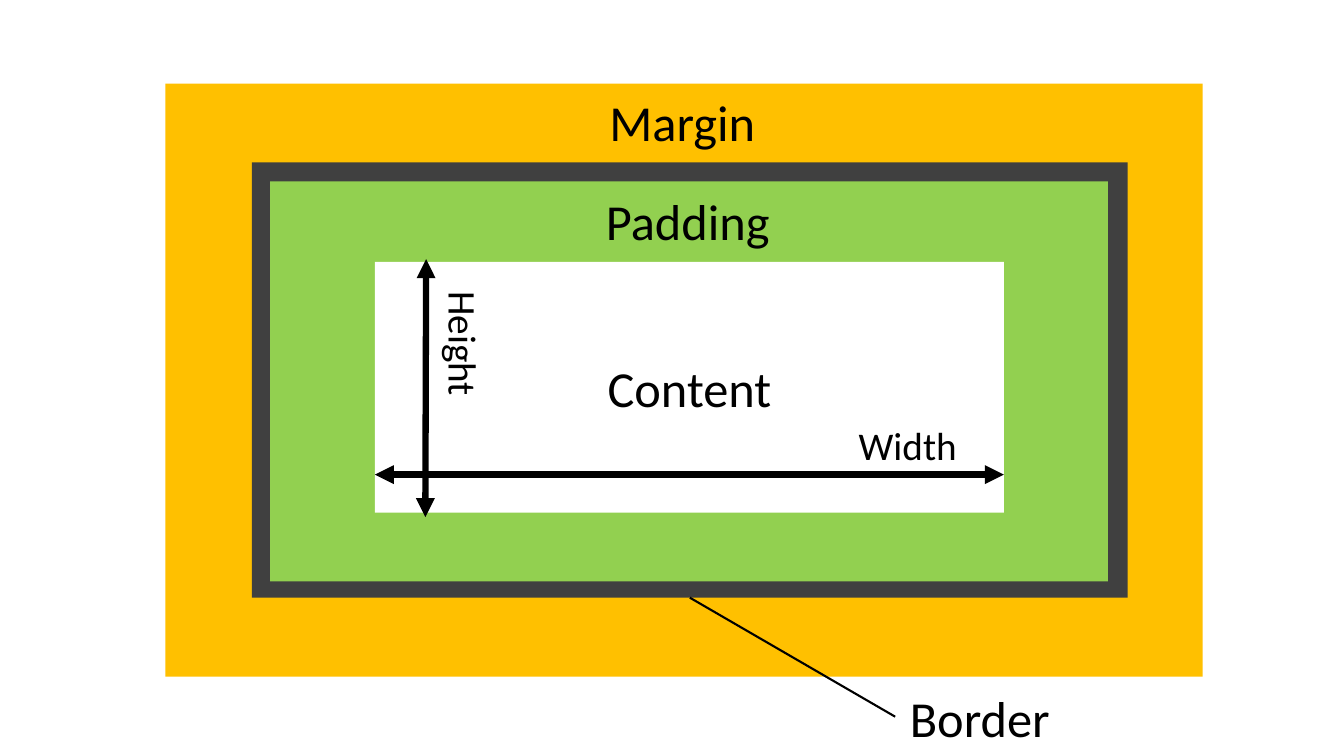
"""Draw the CSS box model as nested rectangles with labelled dimensions."""
from lxml import etree
from pptx import Presentation
from pptx import util as u
from pptx.dml.color import RGBColor
from pptx.enum import shapes, text
from pptx.oxml import ns

COLORS = {"margin": "FFC000", "border": "404040", "padding": "92D050",
          "content": "FFFFFF", "ink": "000000"}
FONT = "Calibri"
LARGE, SMALL = 36, 28


def color(name):
    """Return the named colour."""
    return RGBColor.from_string(COLORS[name])


def inside(box, x, y, w, h):
    """Return a box placed relative to the corner of another."""
    return box[0] + x, box[1] + y, w, h


def write(sp, words, size, align):
    """Write one run of text into a shape."""
    p = sp.text_frame.paragraphs[0]
    p.alignment = align
    r = p.add_run()
    r.text = words
    r.font.name = FONT
    r.font.size = u.Pt(size)
    r.font.color.rgb = color("ink")


def add_layer(s, box, name):
    """Add one plain filled rectangle of the box model."""
    sp = s.shapes.add_shape(shapes.MSO_SHAPE.RECTANGLE, *map(u.Cm, box))
    sp.shadow.inherit = False
    sp.fill.solid()
    sp.fill.fore_color.rgb = color(name)
    sp.line.fill.background()
    return sp


def add_label(s, box, words, size, align=text.PP_ALIGN.CENTER, vert=None):
    """Add a text label, optionally running downwards."""
    sp = s.shapes.add_textbox(*map(u.Cm, box))
    tf = sp.text_frame
    tf.word_wrap = True
    tf.auto_size = text.MSO_AUTO_SIZE.SHAPE_TO_FIT_TEXT
    if vert:
        sp.element.find(".//" + ns.qn("a:bodyPr")).set("vert", vert)
    write(sp, words, size, align)


def add_line(s, box, start, end, width, arrows=False):
    """Add a straight line between two points relative to a box."""
    points = [u.Cm(box[i] + pt[i]) for pt in (start, end) for i in (0, 1)]
    c = s.shapes.add_connector(shapes.MSO_CONNECTOR.STRAIGHT, *points)
    c.line.color.rgb = color("ink")
    c.line.width = u.Pt(width)
    if arrows:
        ln = c.line._get_or_add_ln()
        for tag in ("a:headEnd", "a:tailEnd"):
            etree.SubElement(ln, ns.qn(tag), type="triangle")
    etree.SubElement(c.element.spPr, ns.qn("a:effectLst"))


def draw_layers(s, box):
    """Draw the four nested layers and return the border and content boxes."""
    border = inside(box, 2.18, 1.98, 22.07, 10.97)
    padding = inside(box, 2.64, 2.46, 21.11, 10.08)
    content = inside(box, 5.28, 4.49, 15.85, 6.32)
    add_layer(s, box, "margin")
    add_layer(s, border, "border")
    add_layer(s, padding, "padding")
    sp = add_layer(s, content, "content")
    sp.text_frame.vertical_anchor = text.MSO_ANCHOR.MIDDLE
    write(sp, "Content", LARGE, text.PP_ALIGN.CENTER)
    add_label(s, inside(padding, 7.11, 0.1, 6.83, 1.8), "Padding", LARGE)
    add_label(s, inside(box, 9.47, 0.05, 7.11, 1.8), "Margin", LARGE)
    return border, content


def draw_dimensions(s, box):
    """Draw the width and height arrows of the content box."""
    add_line(s, box, (0, 5.36), (box[2], 5.36), 4.5, arrows=True)
    add_label(s, inside(box, 10.01, 3.89, 6.83, 1.45), "Width", SMALL)
    add_line(s, box, (1.27, 6.43), (1.29, -0.07), 4.5, arrows=True)
    add_label(s, inside(box, 1.27, 0.49, 1.7, 4.14), "Height", SMALL,
              text.PP_ALIGN.LEFT, "eaVert")


def draw_border_callout(s, box):
    """Draw the callout from the bottom middle of the border."""
    add_line(s, box, (box[2] / 2, box[3]), (16.21, 13.97), 1.5)
    add_label(s, inside(box, 16.33, 13.11, 7.21, 1.8), "Border", LARGE,
              text.PP_ALIGN.LEFT)


def main():
    """Build and save the slide."""
    prs = Presentation()
    prs.slide_width, prs.slide_height = u.Cm(33.87), u.Cm(19.05)
    s = prs.slides.add_slide(prs.slide_layouts[6])
    border, content = draw_layers(s, (4.17, 2.11, 26.14, 14.94))
    draw_dimensions(s, content)
    draw_border_callout(s, border)
    prs.save("out.pptx")


main()
